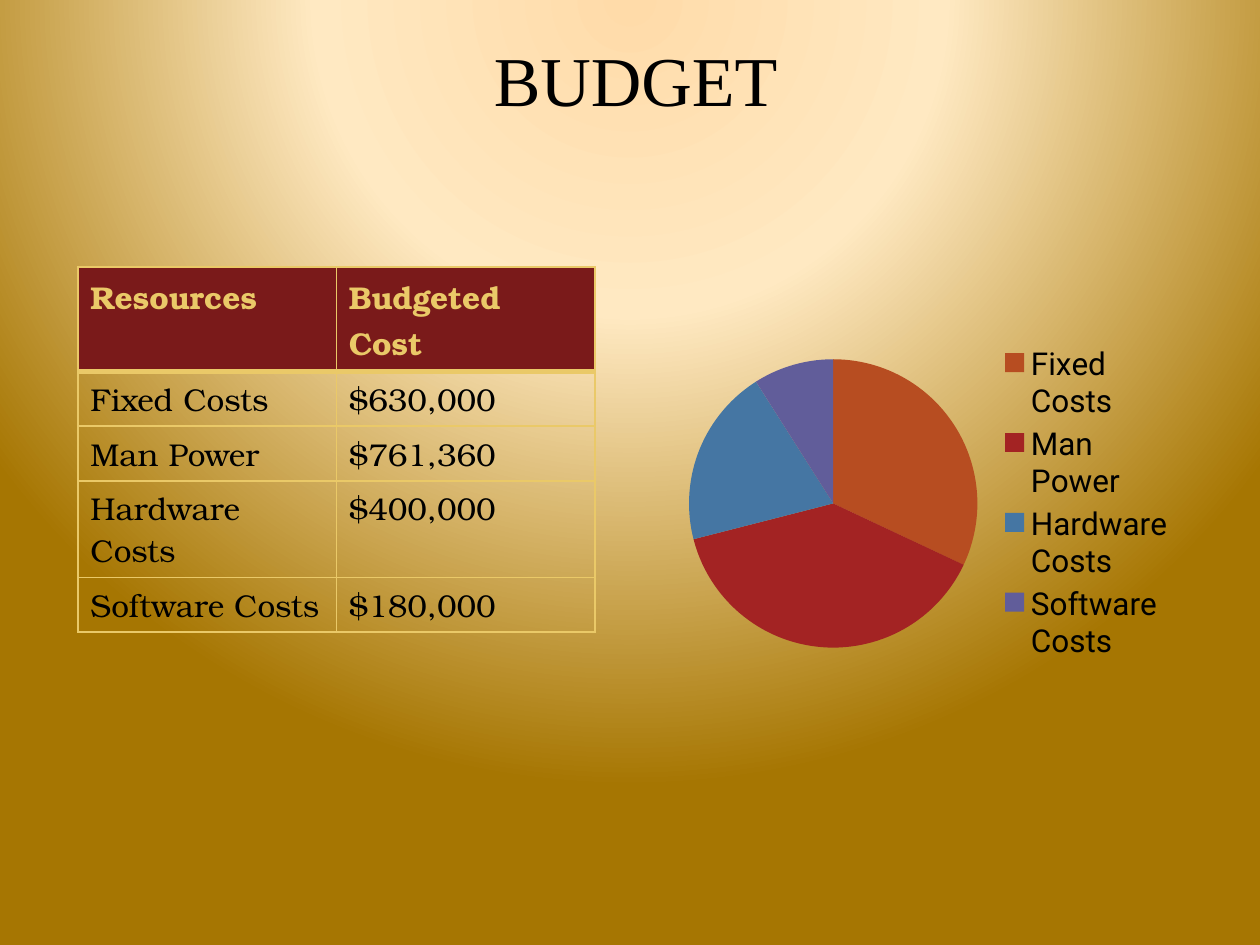
"""Build the budget slide with a cost table and a pie chart."""
import pptx
import pptx.chart.data
import pptx.dml.color
import pptx.enum.chart
import pptx.enum.text
import pptx.oxml
import pptx.oxml.ns
import pptx.util
from pptx.util import Cm, Pt

TITLE = "BUDGET"
HEADER = ("Resources", "Budgeted Cost")
COSTS = [
    ("Fixed Costs", "$630,000", 32, "B74D21"),
    ("Man Power", "$761,360", 39, "A32323"),
    ("Hardware Costs", "$400,000", 20, "4576A3"),
    ("Software Costs", "$180,000", 9, "615D9A"),
]
STOPS = [(0, "FFDBA9"), (40, "FFE9C2"), (100, "A67602")]
BLACK, GOLD, MAROON = "000000", "EAC968", "7A1A1A"
TITLE_FONT = {"name": "Times New Roman", "size": Pt(40), "bold": False}
HEAD_FONT = {"name": "TeX Gyre Bonum", "size": Pt(18), "bold": True}
BODY_FONT = {**HEAD_FONT, "bold": False}
CHART_FONT = {"name": "Roboto", "size": Pt(18), "bold": False}
TITLE_BOX = {"left": Cm(1.7), "top": Cm(0), "width": Cm(22.23), "height": Cm(3.18)}
CHART_BOX = (Cm(13.54), Cm(4.45), Cm(10.41), Cm(11.4))
TABLE_LEFT, TABLE_TOP, COL_W, ROW_H = Cm(1.57), Cm(5.38), Cm(5.21), Cm(1.04)


def rgb(value):
    return pptx.dml.color.RGBColor.from_string(value)


def style(font, values, color):
    for key, value in values.items():
        setattr(font, key, value)
    font.color.rgb = rgb(color)


def set_background(s):
    s.background.fill.gradient()
    old = s.element.find(".//" + pptx.oxml.ns.qn("a:gradFill"))
    stops = "".join(f'<a:gs pos="{pos * 1000}"><a:srgbClr val="{color}"/></a:gs>'
                    for pos, color in STOPS)
    new = pptx.oxml.parse_xml(
        f'<a:gradFill {pptx.oxml.ns.nsdecls("a")} rotWithShape="1">'
        f'<a:gsLst>{stops}</a:gsLst><a:path path="circle">'
        '<a:fillToRect l="50000" t="-80000" r="50000" b="180000"/></a:path></a:gradFill>')
    old.getparent().replace(old, new)


def set_borders(cell, bottom, top):
    tc_pr = cell._tc.get_or_add_tcPr()
    widths = {"L": 1, "R": 1, "T": top, "B": bottom}
    for i, (side, width) in enumerate(widths.items()):
        tc_pr.insert(i, pptx.oxml.parse_xml(
            f'<a:ln{side} {pptx.oxml.ns.nsdecls("a")} w="{Pt(width)}"><a:solidFill>'
            f'<a:srgbClr val="{GOLD}"/></a:solidFill></a:ln{side}>'))


def add_title(s):
    sp = s.shapes.title
    for key, value in TITLE_BOX.items():
        setattr(sp, key, value)
    tf = sp.text_frame
    tf.vertical_anchor = pptx.enum.text.MSO_ANCHOR.MIDDLE
    p = tf.paragraphs[0]
    p.alignment = pptx.enum.text.PP_ALIGN.CENTER
    r = p.add_run()
    r.text = TITLE
    style(r.font, TITLE_FONT, BLACK)


def add_chart(s):
    data = pptx.chart.data.CategoryChartData()
    data.categories = [cost[0] for cost in COSTS]
    data.add_series("Series 1", [cost[2] for cost in COSTS])
    chart = s.shapes.add_chart(pptx.enum.chart.XL_CHART_TYPE.PIE, *CHART_BOX, data).chart
    style(chart.font, CHART_FONT, BLACK)
    chart.has_title = False
    chart.has_legend = True
    chart.legend.position = pptx.enum.chart.XL_LEGEND_POSITION.RIGHT
    chart.legend.include_in_layout = False
    plot = chart.plots[0]
    plot.vary_by_categories = True
    for i, cost in enumerate(COSTS):
        fill = plot.series[0].points[i].format.fill
        fill.solid()
        fill.fore_color.rgb = rgb(cost[3])


def add_table(s):
    rows = [HEADER] + [cost[:2] for cost in COSTS]
    n_cols = len(HEADER)
    table = s.shapes.add_table(len(rows), n_cols, TABLE_LEFT, TABLE_TOP,
                               COL_W * n_cols, ROW_H * len(rows)).table
    table.horz_banding = False
    for i, row in enumerate(rows):
        for j, text in enumerate(row):
            cell = table.cell(i, j)
            r = cell.text_frame.paragraphs[0].add_run()
            r.text = text
            if i == 0:
                style(r.font, HEAD_FONT, GOLD)
                cell.fill.solid()
                cell.fill.fore_color.rgb = rgb(MAROON)
            else:
                style(r.font, BODY_FONT, BLACK)
                cell.fill.background()
            set_borders(cell, bottom=3 if i == 0 else 1, top=3 if i == 1 else 1)


def main():
    prs = pptx.Presentation()
    prs.slide_width, prs.slide_height = Cm(25.4), Cm(19.05)
    s = prs.slides.add_slide(prs.slide_layouts[5])
    set_background(s)
    add_title(s)
    add_chart(s)
    add_table(s)
    prs.save("out.pptx")


if __name__ == "__main__":
    main()
